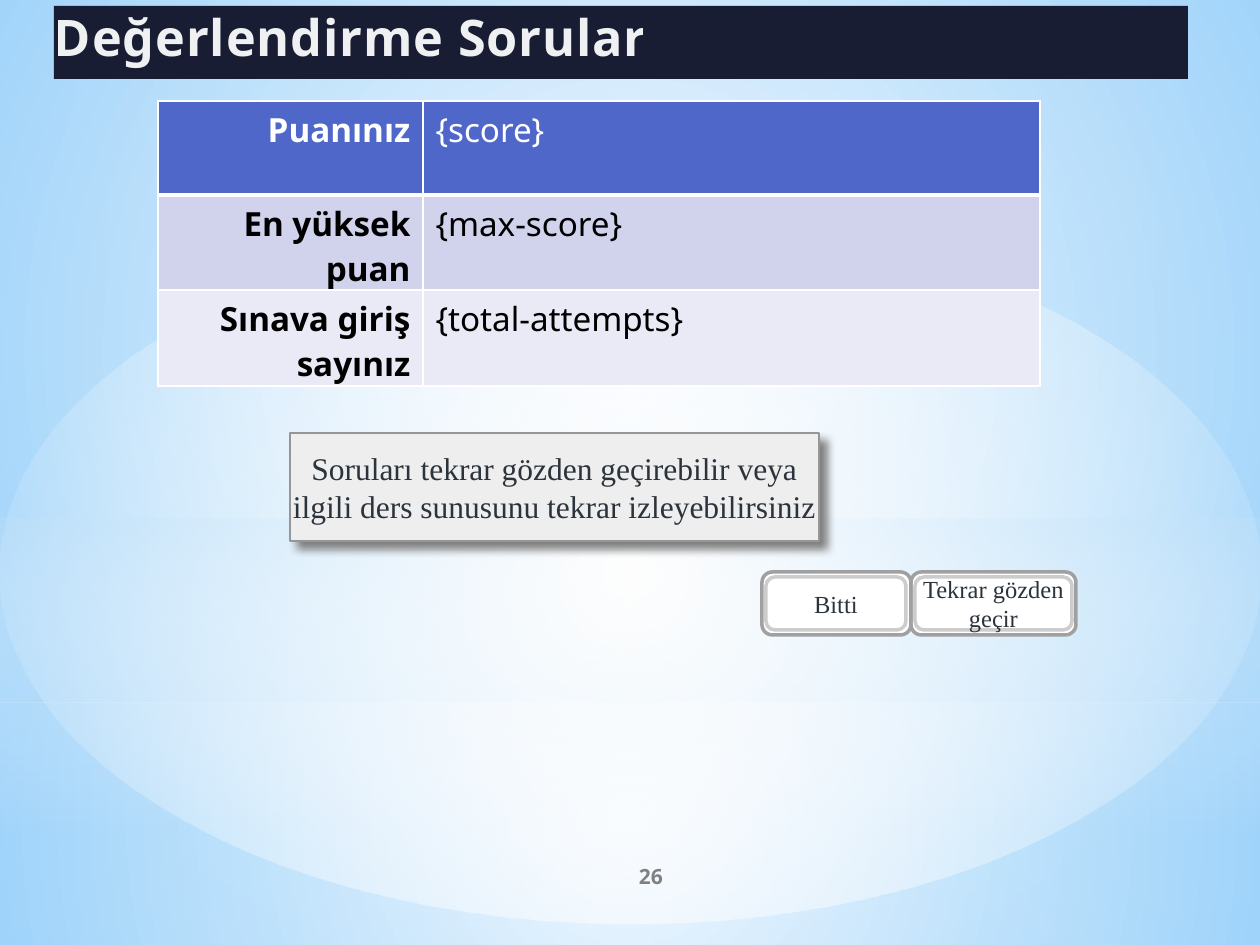
"""Builds the quiz result slide with its score table and buttons."""
from dataclasses import dataclass
from typing import Any

import pptx
import pptx.util
import pptx.oxml
import pptx.oxml.ns
import pptx.dml.color
import pptx.enum.shapes
import pptx.enum.text

EMU_PER_PIXEL = 914400 / 126
COLORS = {
    "white": "FFFFFF", "black": "000000", "sky": "9CD4FF", "azure": "5BB9FF",
    "mist": "B4DCFA", "navy": "191D34", "title": "FBFCFD", "number": "808080",
    "header": "4E67C8", "band": "D0D3EB", "pale": "E9EAF5", "panel": "EEEEEE",
    "edge": "969696", "outer": "A0A0A0", "inner": "CCCCCC", "ink": "2B333C",
    "shadow": "808080",
}
SANS, SERIF = "Noto Sans", "Times New Roman"
SHAPE = pptx.enum.shapes.MSO_SHAPE
ALIGN = pptx.enum.text.PP_ALIGN
ANCHOR = pptx.enum.text.MSO_ANCHOR
CENTER_FOCUS = '<a:path path="circle"><a:fillToRect l="50000" t="50000" r="50000" b="50000"/></a:path>'
UPPER_FOCUS = '<a:path path="circle"><a:fillToRect l="50000" t="25000" r="50000" b="75000"/></a:path>'
DOWNWARD = '<a:lin ang="5400000" scaled="0"/>'


@dataclass(frozen=True)
class Box:
    left: int
    top: int
    width: int
    height: int

    def emu(self) -> list[int]:
        return [px(value) for value in (self.left, self.top, self.width, self.height)]


@dataclass(frozen=True)
class Style:
    size: float
    font: str
    color: str
    bold: bool = False
    align: Any = ALIGN.CENTER


@dataclass(frozen=True)
class Glow:
    kind: Any
    box: Box
    stops: tuple[tuple[str, int], ...]
    direction: str


@dataclass(frozen=True)
class ScoreRow:
    label: str
    value: str
    fill: str
    color: str
    height: int


@dataclass(frozen=True)
class Button:
    label: str
    outer: Box
    inner: Box


GLOWS = [
    Glow(SHAPE.RECTANGLE, Box(0, 703, 1260, 242), (("white", 91), ("mist", 79)), CENTER_FOCUS),
    Glow(SHAPE.RECTANGLE, Box(0, 0, 1260, 703), (("white", 89), ("mist", 79)), CENTER_FOCUS),
    Glow(SHAPE.RECTANGLE, Box(0, 519, 1260, 315), (("mist", 60), ("white", 0)), DOWNWARD),
    Glow(SHAPE.OVAL, Box(0, 221, 1260, 703), (("white", 100), ("white", 0)), CENTER_FOCUS),
]
SCORE_ROWS = [
    ScoreRow("Puanınız", "{score}", "header", "white", 94),
    ScoreRow("En yüksek puan", "{max-score}", "band", "black", 95),
    ScoreRow("Sınava giriş sayınız", "{total-attempts}", "pale", "black", 96),
]
BUTTONS = [
    Button("Tekrar gözden geçir", Box(911, 572, 165, 63), Box(915, 577, 157, 53)),
    Button("Bitti", Box(762, 572, 149, 63), Box(766, 577, 140, 53)),
]


def px(value: int) -> int:
    return round(value * EMU_PER_PIXEL)


def rgb(name: str) -> pptx.dml.color.RGBColor:
    return pptx.dml.color.RGBColor.from_string(COLORS[name])


def xml(tag: str, body: str, attributes: str = "") -> Any:
    return pptx.oxml.parse_xml(
        f'<a:{tag} {pptx.oxml.ns.nsdecls("a")} {attributes}>{body}</a:{tag}>')


def color_xml(name: str, alpha: int = 100) -> str:
    return f'<a:srgbClr val="{COLORS[name]}"><a:alpha val="{alpha * 1000}"/></a:srgbClr>'


def gradient(stops: tuple[tuple[str, int], ...], direction: str) -> Any:
    marks = "".join(f'<a:gs pos="{place * 100000}">{color_xml(*stop)}</a:gs>'
                    for place, stop in enumerate(stops))
    return xml("gradFill", f"<a:gsLst>{marks}</a:gsLst>{direction}", 'rotWithShape="1"')


def swap_solid(element: Any, fill: Any) -> None:
    solid = element.find(".//" + pptx.oxml.ns.qn("a:solidFill"))
    solid.getparent().replace(solid, fill)


def write(frame: Any, text: str, style: Style) -> Any:
    frame.text = text
    para = frame.paragraphs[0]
    para.alignment = style.align
    span = para.runs[0]
    span.font.size = pptx.util.Pt(style.size)
    span.font.name = style.font
    span.font.bold = style.bold
    span.font.color.rgb = rgb(style.color)
    return span


def set_frame(frame: Any, anchor: Any) -> None:
    frame.word_wrap = True
    frame.vertical_anchor = anchor
    frame.margin_left = frame.margin_top = frame.margin_right = frame.margin_bottom = 0


def add_block(shapes: Any, kind: Any, box: Box, fill: str, line: str = "", width: float = 1) -> Any:
    block = shapes.add_shape(kind, *box.emu())
    block.shadow.inherit = False
    block.fill.solid()
    block.fill.fore_color.rgb = rgb(fill)
    if line:
        block.line.color.rgb = rgb(line)
        block.line.width = pptx.util.Pt(width)
    else:
        block.line.fill.background()
    set_frame(block.text_frame, ANCHOR.MIDDLE)
    return block


def add_glow(page: Any, glow: Glow) -> None:
    block = add_block(page.shapes, glow.kind, glow.box, "white")
    swap_solid(block.element.spPr, gradient(glow.stops, glow.direction))


def set_borders(cell: Any, bottom: float) -> None:
    properties = cell._tc.get_or_add_tcPr()
    widths = {"lnL": 0.96, "lnR": 0.96, "lnT": 0.96, "lnB": bottom}
    for place, (side, width) in enumerate(widths.items()):
        body = f'<a:solidFill>{color_xml("white")}</a:solidFill>'
        properties.insert(place, xml(side, body, f'w="{pptx.util.Pt(width)}"'))


def add_scores(page: Any) -> None:
    height = sum(row.height for row in SCORE_ROWS)
    table = page.shapes.add_table(len(SCORE_ROWS), 2, *Box(158, 101, 882, height).emu()).table
    for column, width in zip(table.columns, (265, 617)):
        column.width = px(width)
    for index, row in enumerate(SCORE_ROWS):
        table.rows[index].height = px(row.height)
        for column, text in enumerate((row.label, row.value)):
            cell = table.cell(index, column)
            cell.fill.solid()
            cell.fill.fore_color.rgb = rgb(row.fill)
            align = ALIGN.LEFT if column else ALIGN.RIGHT
            write(cell.text_frame, text, Style(19, SANS, row.color, column == 0, align))
            set_borders(cell, 0.96 if index else 3)


def add_message(page: Any) -> None:
    panel = add_block(page.shapes, SHAPE.RECTANGLE, Box(290, 433, 529, 108), "panel", "edge")
    write(panel.text_frame, "Soruları tekrar gözden geçirebilir veya ilgili ders sunusunu "
          "tekrar izleyebilirsiniz", Style(18, SERIF, "ink"))
    effects = panel.element.spPr.find(pptx.oxml.ns.qn("a:effectLst"))
    effects.append(xml("outerShdw", color_xml("shadow"),
                       f'blurRad="{pptx.util.Pt(5)}" dist="{pptx.util.Pt(5.7)}" '
                       'dir="2700000" algn="tl" rotWithShape="0"'))


def add_button(page: Any, button: Button) -> None:
    group = page.shapes.add_group_shape()
    for box, line in ((button.outer, "outer"), (button.inner, "inner")):
        block = add_block(group.shapes, SHAPE.ROUNDED_RECTANGLE, box, "white", line, 2)
    write(block.text_frame, button.label, Style(14, SERIF, "ink"))


def add_title(page: Any) -> None:
    bar = add_block(page.shapes, SHAPE.RECTANGLE, Box(54, 6, 1134, 73), "navy")
    bar.text_frame.vertical_anchor = ANCHOR.TOP
    span = write(bar.text_frame, "Değerlendirme Soruları",
                 Style(28.8, SANS, "title", True, ALIGN.LEFT))
    properties = span.font._element
    properties.set("spc", "50")
    swap_solid(properties, xml("solidFill", color_xml("title", 95)))


def add_number(page: Any) -> None:
    number = page.shapes.add_textbox(*Box(525, 851, 252, 50).emu())
    set_frame(number.text_frame, ANCHOR.MIDDLE)
    write(number.text_frame, "26", Style(12, SANS, "number", True))


def main() -> None:
    deck = pptx.Presentation()
    deck.slide_width, deck.slide_height = px(1260), px(945)
    page = deck.slides.add_slide(deck.slide_layouts[6])
    page.background.fill.solid()
    swap_solid(page.element, gradient((("sky", 100), ("azure", 100)), UPPER_FOCUS))
    for glow in GLOWS:
        add_glow(page, glow)
    add_number(page)
    add_scores(page)
    add_message(page)
    for button in BUTTONS:
        add_button(page, button)
    add_title(page)
    deck.save("out.pptx")


main()
